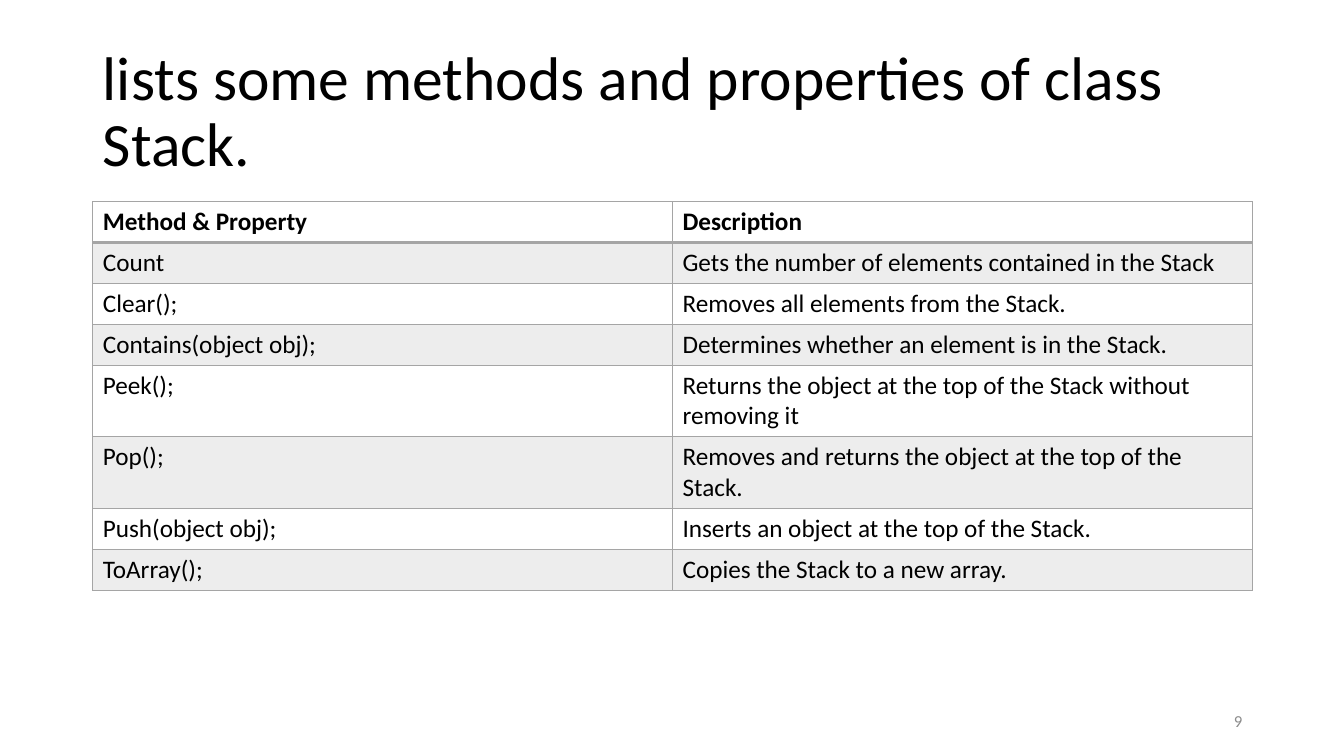
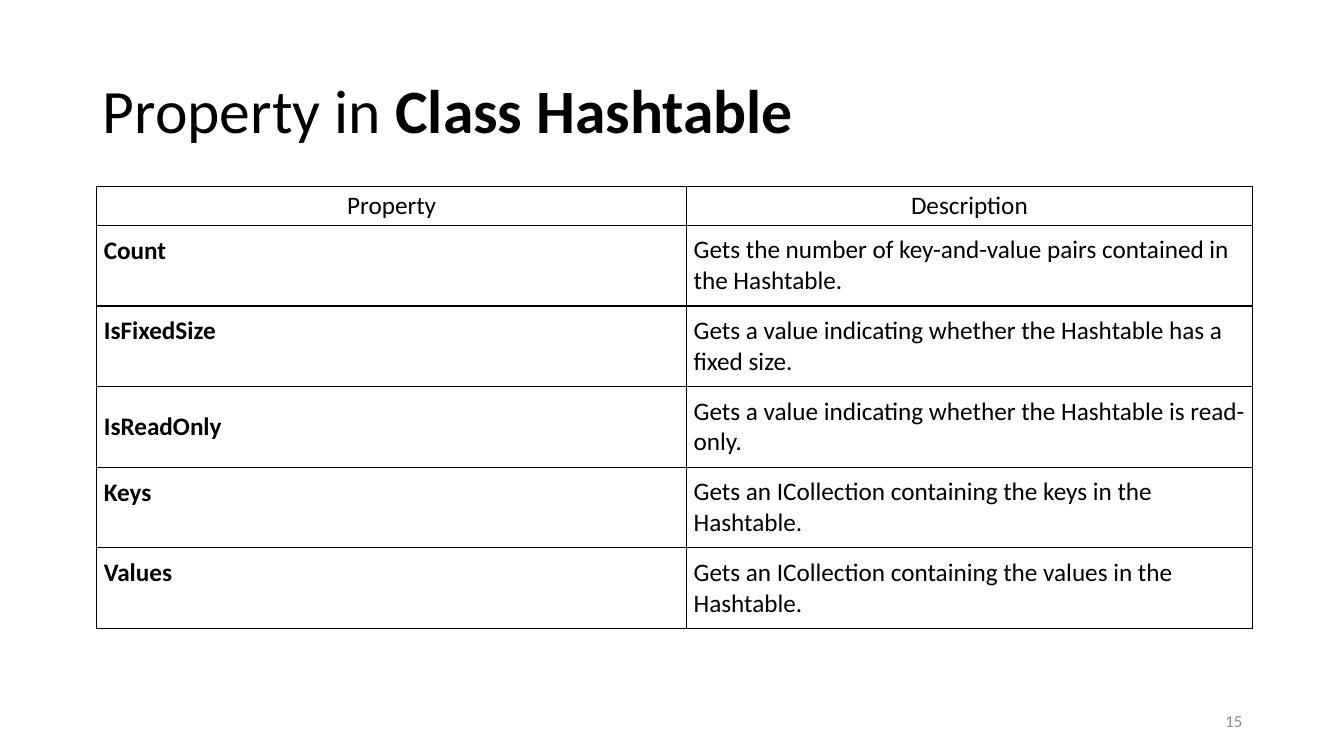
from lxml import etree
from pptx import Presentation
from pptx.dml.color import RGBColor
from pptx.enum import text
from pptx.oxml import ns
from pptx.util import Inches, Pt

# Shared style
FONT = "Calibri"
BLACK, WHITE, GREY, BAND, NUMBER_GREY = "000000", "FFFFFF", "A5A5A5", "EDEDED", "8C8C8C"
TITLE_BOX = (0.92, 0.4, 11.5, 1.45)
NUMBER_BOX = (9.42, 6.95, 3, 0.4)
LEFT, CENTER, RIGHT = text.PP_ALIGN.LEFT, text.PP_ALIGN.CENTER, text.PP_ALIGN.RIGHT
TOP, MIDDLE = text.MSO_ANCHOR.TOP, text.MSO_ANCHOR.MIDDLE
LINE_HEIGHT = 0.3  # one line of table text, in inches

# Content
STACK_ROWS = [
    ("Method & Property", "Description"),
    ("Count", "Gets the number of elements contained in the Stack"),
    ("Clear();", "Removes all elements from the Stack."),
    ("Contains(object obj);", "Determines whether an element is in the Stack."),
    ("Peek();", "Returns the object at the top of the Stack without removing it"),
    ("Pop();", "Removes and returns the object at the top of the Stack."),
    ("Push(object obj);", "Inserts an object at the top of the Stack."),
    ("ToArray();", "Copies the Stack to a new array."),
]
HASHTABLE_ROWS = [
    ("Property", "Description"),
    ("Count", "Gets the number of key-and-value pairs contained in the Hashtable."),
    ("IsFixedSize", "Gets a value indicating whether the Hashtable has a fixed size."),
    ("IsReadOnly", "Gets a value indicating whether the Hashtable is read-only."),
    ("Keys", "Gets an ICollection containing the keys in the Hashtable."),
    ("Values", "Gets an ICollection containing the values in the Hashtable."),
]


def color(value):
    return RGBColor.from_string(value)


def set_attributes(target, values):
    for name, value in values.items():
        setattr(target, name, value)


def write(frame, runs, size, font_color=BLACK, align=LEFT, line_spacing=None):
    """Fill the first paragraph with (wording, bold) runs."""
    paragraph = frame.paragraphs[0]
    set_attributes(paragraph, {"alignment": align, "line_spacing": line_spacing})
    for wording, bold in runs:
        run = paragraph.add_run()
        run.text = wording
        set_attributes(run.font, {"name": FONT, "size": Pt(size), "bold": bold})
        run.font.color.rgb = color(font_color)


def add_base_slide(presentation, title_runs, number):
    """Add a slide with its title and slide number."""
    slide = presentation.slides.add_slide(presentation.slide_layouts[5])
    title = slide.shapes.title
    set_attributes(title, dict(zip(("left", "top", "width", "height"), map(Inches, TITLE_BOX))))
    number_box = slide.shapes.add_textbox(*map(Inches, NUMBER_BOX))
    for shape in (title, number_box):
        set_attributes(shape.text_frame, {
            "word_wrap": True,
            "vertical_anchor": MIDDLE,
            "auto_size": text.MSO_AUTO_SIZE.NONE,
        })
    write(title.text_frame, title_runs, 44, line_spacing=0.9)
    write(number_box.text_frame, [(number, False)], 12, NUMBER_GREY, RIGHT)
    return slide


def set_borders(cell, line_color, widths):
    """Draw the left, right, top and bottom borders, widths in points."""
    properties = cell._tc.get_or_add_tcPr()
    for index, (side, width) in enumerate(zip("LRTB", widths)):
        line = etree.Element(ns.qn(f"a:ln{side}"), w=str(Pt(width)))
        fill = etree.SubElement(line, ns.qn("a:solidFill"))
        etree.SubElement(fill, ns.qn("a:srgbClr"), val=line_color)
        properties.insert(index, line)


def add_table(slide, rows, left, top, column_widths, row_heights):
    frame = slide.shapes.add_table(
        len(rows), len(column_widths), Inches(left), Inches(top),
        Inches(sum(column_widths)), Inches(sum(row_heights)))
    table = frame.table
    set_attributes(table, {"first_row": False, "horz_banding": False})
    for column, width in zip(table.columns, column_widths):
        column.width = Inches(width)
    for row, height in zip(table.rows, row_heights):
        row.height = Inches(height)
    return table


def format_cell(cell, wording, bold, align, fill, line_color, widths, layout):
    set_attributes(cell, layout)
    write(cell.text_frame, [(wording, bold)], 18, align=align)
    cell.fill.solid()
    cell.fill.fore_color.rgb = color(fill)
    set_borders(cell, line_color, widths)


def add_stack_slide(presentation):
    title = "lists some methods and properties of class Stack."
    slide = add_base_slide(presentation, [(title, False)], "9")
    table = add_table(slide, STACK_ROWS, 0.92, 2, [5.75] * 2, [0.4] * len(STACK_ROWS))
    for row, wordings in enumerate(STACK_ROWS):
        # The header is bold with a heavier rule; every second row is banded
        header = row == 0
        widths = (1, 1, 2 if row == 1 else 1, 2 if header else 1)
        for column, wording in enumerate(wordings):
            format_cell(table.cell(row, column), wording, header, LEFT,
                        BAND if row % 2 else WHITE, GREY, widths, {"vertical_anchor": TOP})


def add_hashtable_slide(presentation):
    title_runs = [("Property in ", False), ("Class Hashtable", True)]
    slide = add_base_slide(presentation, title_runs, "15")
    heights = [0.32] + [0.8] * (len(HASHTABLE_ROWS) - 1)
    table = add_table(slide, HASHTABLE_ROWS, 0.96, 1.85, [5.85, 5.61], heights)
    for row, wordings in enumerate(HASHTABLE_ROWS):
        header = row == 0
        for column, wording in enumerate(wordings):
            name = column == 0 and not header
            # Names sit level with the first description line, except IsReadOnly
            raised = name and wording != "IsReadOnly"
            layout = {
                "vertical_anchor": MIDDLE,
                "margin_left": Inches(0.07),
                "margin_right": Inches(0.07),
                "margin_top": Inches(0.04),
                "margin_bottom": Inches(0.04 + LINE_HEIGHT * raised),
            }
            format_cell(table.cell(row, column), wording, name, CENTER if header else LEFT,
                        WHITE, BLACK, (1, 1, 1, 1), layout)


def main():
    presentation = Presentation()
    set_attributes(presentation, {"slide_width": Inches(13.33), "slide_height": Inches(7.5)})
    add_stack_slide(presentation)
    add_hashtable_slide(presentation)
    presentation.save("out.pptx")


if __name__ == "__main__":
    main()
